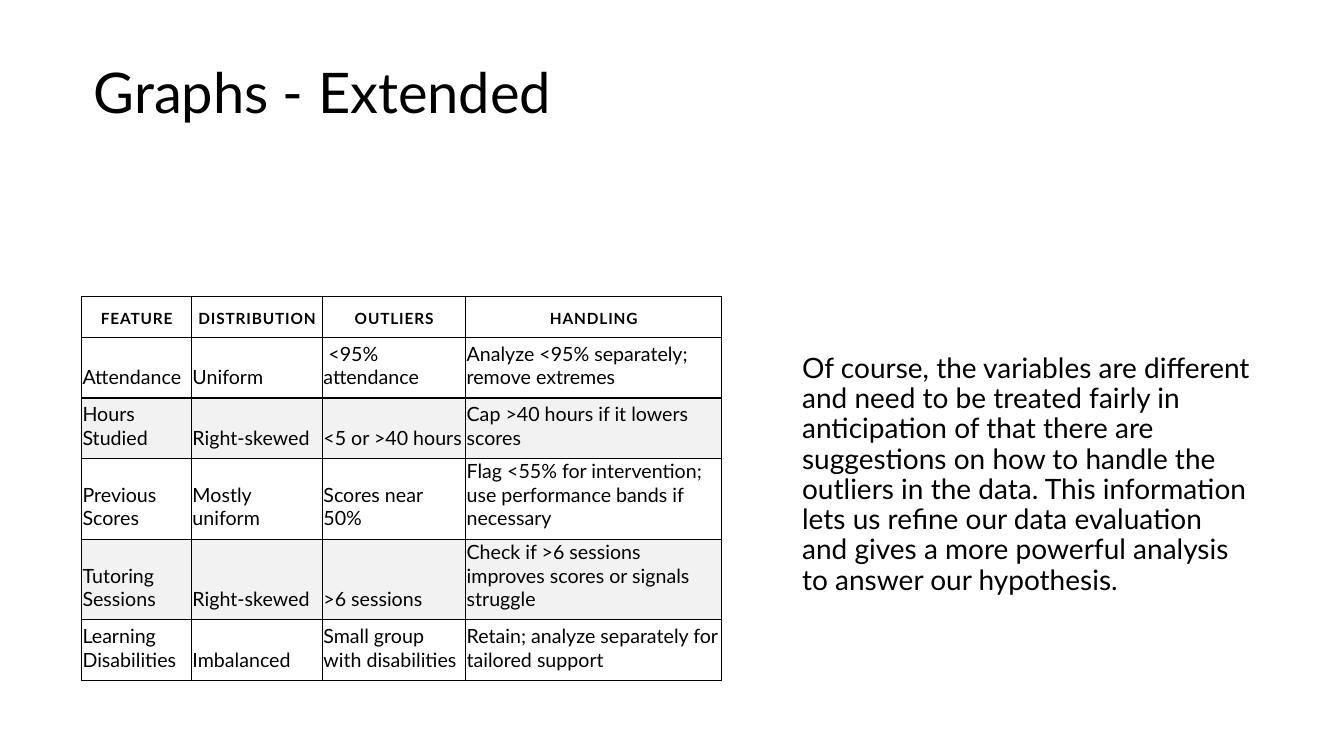
from dataclasses import dataclass

from lxml.etree import SubElement
from pptx import Presentation
from pptx.dml.color import RGBColor
from pptx.enum.shapes import MSO_SHAPE as Preset
from pptx.enum.text import MSO_ANCHOR as Anchor, MSO_AUTO_SIZE as AutoSize, PP_ALIGN as Align
from pptx.oxml.ns import qn
from pptx.util import Cm, Pt


@dataclass(frozen=True)
class Theme:
    font: str = "Lato"
    ink: RGBColor = RGBColor(0, 0, 0)
    paper: RGBColor = RGBColor(255, 255, 255)
    stripe: RGBColor = RGBColor(0xF2, 0xF2, 0xF2)
    title_size: int = 40
    body_size: int = 20
    header_size: int = 11
    cell_size: int = 14


@dataclass(frozen=True)
class Box:
    left: float
    top: float
    width: float
    height: float

    def lengths(self) -> tuple:
        return Cm(self.left), Cm(self.top), Cm(self.width), Cm(self.height)


@dataclass(frozen=True)
class FeatureRow:
    feature: str
    distribution: str
    outliers: str
    handling: str
    height: float = 1.53

    def texts(self) -> tuple:
        return self.feature, self.distribution, self.outliers, self.handling


THEME = Theme()
BAND = Box(0, 0, 33.87, 4.83)
TITLE = Box(2.11, 0.86, 29.69, 3.07)
BODY = Box(19.96, 6.55, 11.84, 10.85)
TABLE = Box(2.06, 7.47, 16.13, 9.68)
COLUMN_WIDTHS = (2.77, 3.3, 3.61, 6.45)

HEADER = FeatureRow("FEATURE", "DISTRIBUTION", "OUTLIERS", "HANDLING", 1.03)
FEATURES = [
    FeatureRow("Attendance", "Uniform", " <95% attendance",
               "Analyze <95% separately; remove extremes"),
    FeatureRow("Hours Studied", "Right-skewed", "<5 or >40 hours",
               "Cap >40 hours if it lowers scores"),
    FeatureRow("Previous Scores", "Mostly uniform", "Scores near 50%",
               "Flag <55% for intervention; use performance bands if necessary", 2.03),
    FeatureRow("Tutoring Sessions", "Right-skewed", ">6 sessions",
               "Check if >6 sessions improves scores or signals struggle", 2.03),
    FeatureRow("Learning Disabilities", "Imbalanced", "Small group with disabilities",
               "Retain; analyze separately for tailored support"),
]
EXPLANATION = (
    "Of course, the variables are different and need to be treated fairly in anticipation "
    "of that there are suggestions on how to handle the outliers in the data. This "
    "information lets us refine our data evaluation and gives a more powerful analysis "
    "to answer our hypothesis."
)


def write_text(frame, text: str, *, size: int, bold: bool = False, align=Align.LEFT,
               line_spacing: float = 1.0, space_after: int = 0, tracking: int = 0) -> None:
    paragraph = frame.paragraphs[0]
    paragraph.alignment = align
    paragraph.line_spacing = line_spacing
    paragraph.space_before = Pt(0)
    paragraph.space_after = Pt(space_after)
    run = paragraph.add_run()
    run.text = text
    run.font.name = THEME.font
    run.font.size = Pt(size)
    run.font.bold = bold
    run.font.color.rgb = THEME.ink
    if tracking:
        run._r.get_or_add_rPr().set("spc", str(tracking))


def fill_placeholder(placeholder, box: Box, text: str, *, size: int,
                     space_after: int = 0) -> None:
    placeholder.left, placeholder.top, placeholder.width, placeholder.height = box.lengths()
    frame = placeholder.text_frame
    frame.word_wrap = True
    frame.auto_size = AutoSize.NONE
    frame.vertical_anchor = Anchor.MIDDLE
    write_text(frame, text, size=size, line_spacing=0.9, space_after=space_after)


def remove_bullet(paragraph) -> None:
    properties = paragraph._p.get_or_add_pPr()
    properties.set("marL", "0")
    properties.set("indent", "0")
    SubElement(properties, qn("a:buNone"))


def add_borders(cell) -> None:
    properties = cell._tc.get_or_add_tcPr()
    for side in ("a:lnL", "a:lnR", "a:lnT", "a:lnB"):
        line = SubElement(properties, qn(side), w=str(Pt(1)))
        color = SubElement(SubElement(line, qn("a:solidFill")), qn("a:srgbClr"))
        color.set("val", str(THEME.ink))


def format_cell(cell, text: str, *, is_header: bool, fill: RGBColor) -> None:
    add_borders(cell)
    cell.fill.solid()
    cell.fill.fore_color.rgb = fill
    cell.vertical_anchor = Anchor.BOTTOM
    cell.margin_left = cell.margin_right = Cm(0.02)
    cell.margin_top = Cm(0.23 if is_header else 0.02)
    cell.margin_bottom = Cm(0.23)
    if is_header:
        write_text(cell.text_frame, text, size=THEME.header_size, bold=True,
                   align=Align.CENTER, tracking=60)
    else:
        write_text(cell.text_frame, text, size=THEME.cell_size)


def add_band(slide) -> None:
    band = slide.shapes.add_shape(Preset.RECTANGLE, *BAND.lengths())
    band.shadow.inherit = False
    band.fill.solid()
    band.fill.fore_color.rgb = THEME.paper
    band.line.fill.background()
    slide.shapes._spTree.insert(2, band._element)


def add_feature_table(slide) -> None:
    rows = [HEADER, *FEATURES]
    table = slide.shapes.add_table(len(rows), len(COLUMN_WIDTHS), *TABLE.lengths()).table
    table.first_row = False
    table.horz_banding = False
    for column, width in zip(table.columns, COLUMN_WIDTHS):
        column.width = Cm(width)
    for row_index, row in enumerate(rows):
        table.rows[row_index].height = Cm(row.height)
        striped = row_index > 0 and row_index % 2 == 0
        for column_index, text in enumerate(row.texts()):
            format_cell(table.cell(row_index, column_index), text,
                        is_header=row is HEADER,
                        fill=THEME.stripe if striped else THEME.paper)


def main() -> None:
    presentation = Presentation()
    presentation.slide_width = Cm(33.87)
    presentation.slide_height = Cm(19.05)
    slide = presentation.slides.add_slide(presentation.slide_layouts[1])
    add_band(slide)
    fill_placeholder(slide.shapes.title, TITLE, "Graphs - Extended", size=THEME.title_size)
    body = slide.placeholders[1]
    fill_placeholder(body, BODY, EXPLANATION, size=THEME.body_size, space_after=6)
    remove_bullet(body.text_frame.paragraphs[0])
    add_feature_table(slide)
    presentation.save("out.pptx")


if __name__ == "__main__":
    main()
